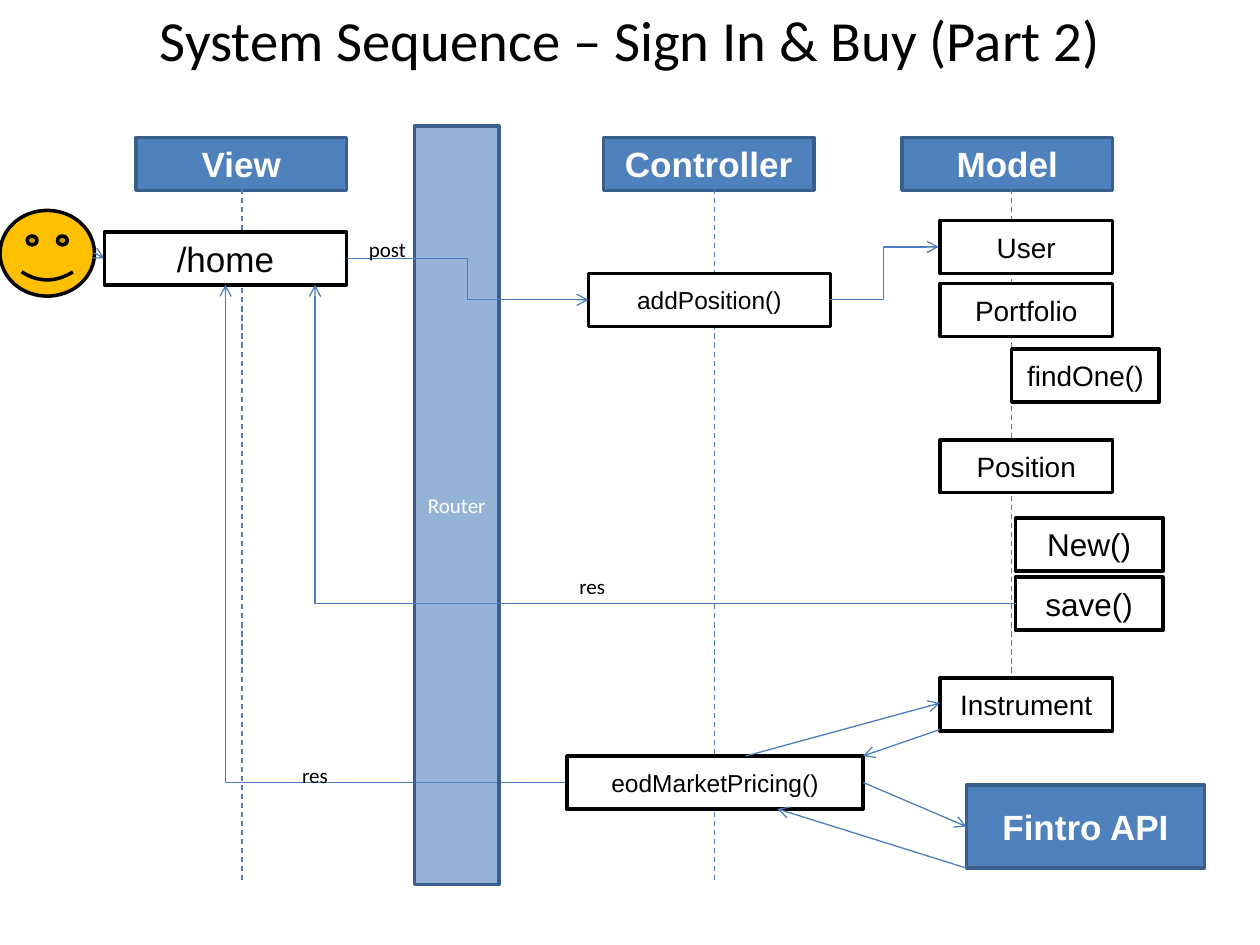
from dataclasses import dataclass

from lxml import etree
from pptx import Presentation
from pptx.dml.color import RGBColor
from pptx.enum.dml import MSO_LINE
from pptx.enum.shapes import MSO_CONNECTOR, MSO_SHAPE
from pptx.enum.text import MSO_ANCHOR, MSO_AUTO_SIZE, PP_ALIGN
from pptx.oxml.ns import qn
from pptx.util import Inches, Pt


@dataclass(frozen=True)
class Theme:
    blue: str = "4F81BD"
    edge: str = "3A5F8C"
    arrow: str = "4B7EBC"
    face: str = "FFC000"
    black: str = "000000"
    white: str = "FFFFFF"
    heading_font: str = "Calibri"
    box_font: str = "Arial"
    title: float = 32.4
    header: float = 20
    method: float = 18
    model: float = 16
    call: float = 14
    label: float = 12
    border: float = 2
    thin: float = 0.75


class SequenceSlide:
    def __init__(self, slide, theme):
        self.shapes = slide.shapes
        self.theme = theme

    def add_text(self, frame, text, size, font, color, bold=False, align=PP_ALIGN.CENTER):
        paragraph = frame.paragraphs[0]
        paragraph.alignment = align
        run = paragraph.add_run()
        run.text = text
        run.font.size = Pt(size)
        run.font.name = font
        run.font.bold = bold
        run.font.color.rgb = RGBColor.from_string(color)

    def shape(self, kind, place, fill, edge):
        shape = self.shapes.add_shape(kind, *map(Inches, place))
        shape.shadow.inherit = False
        shape.fill.solid()
        shape.fill.fore_color.rgb = RGBColor.from_string(fill)
        shape.line.color.rgb = RGBColor.from_string(edge)
        shape.line.width = Pt(self.theme.border)
        shape.text_frame.vertical_anchor = MSO_ANCHOR.MIDDLE
        return shape

    def step(self, text, left, top, width, size, height=0.42):
        t = self.theme
        box = self.shape(MSO_SHAPE.FLOWCHART_PROCESS, (left, top, width, height), t.white, t.black)
        self.add_text(box.text_frame, text, size, t.box_font, t.black)

    def header(self, text, left, top=1.09, width=1.67, height=0.42):
        t = self.theme
        box = self.shape(MSO_SHAPE.FLOWCHART_PROCESS, (left, top, width, height), t.blue, t.edge)
        self.add_text(box.text_frame, text, t.header, t.box_font, t.white, bold=True)

    def band(self, text, place, opacity):
        t = self.theme
        band = self.shape(MSO_SHAPE.RECTANGLE, place, t.blue, t.edge)
        color = band._element.spPr.find(qn("a:solidFill"))[0]
        etree.SubElement(color, qn("a:alpha")).set("val", str(opacity * 1000))
        self.add_text(band.text_frame, text, t.label, t.heading_font, t.white)

    def title(self, text):
        t = self.theme
        frame = self.shapes.add_textbox(*map(Inches, (0.5, 0.08, 9, 0.45))).text_frame
        frame.word_wrap = True
        frame.vertical_anchor = MSO_ANCHOR.MIDDLE
        self.add_text(frame, text, t.title, t.heading_font, t.black)

    def label(self, text, left, top, width):
        t = self.theme
        frame = self.shapes.add_textbox(*map(Inches, (left, top, width, 0.3))).text_frame
        frame.word_wrap = False
        frame.auto_size = MSO_AUTO_SIZE.SHAPE_TO_FIT_TEXT
        self.add_text(frame, text, t.label, t.heading_font, t.black, align=PP_ALIGN.LEFT)

    def line(self, start, end, kind=MSO_CONNECTOR.STRAIGHT, head=True, dashed=False):
        line = self.shapes.add_connector(kind, *map(Inches, (*start, *end)))
        line.line.color.rgb = RGBColor.from_string(self.theme.arrow)
        line.line.width = Pt(self.theme.thin)
        if dashed:
            line.line.dash_style = MSO_LINE.DASH
        properties = line._element.spPr
        if head:
            etree.SubElement(properties.find(qn("a:ln")), qn("a:tailEnd")).set("type", "arrow")
        etree.SubElement(properties, qn("a:effectLst"))
        return line

    def elbow(self, start, end):
        return self.line(start, end, MSO_CONNECTOR.ELBOW)

    def corner(self, start, end):
        """One bend: runs left from start, then up to end."""
        properties = self.elbow(end, start)._element.spPr
        properties.find(qn("a:prstGeom")).set("prst", "bentConnector2")
        properties.find(qn("a:xfrm")).set("rot", str(180 * 60000))


theme = Theme()
deck = Presentation()
deck.slide_width, deck.slide_height = Inches(10), Inches(7.5)
sequence = SequenceSlide(deck.slides.add_slide(deck.slide_layouts[6]), theme)

sequence.title("System Sequence – Sign In & Buy (Part 2)")

# Column headers and user
for column, left in (("Model", 7.16), ("Controller", 4.79), ("View", 1.08)):
    sequence.header(column, left)
sequence.shape(MSO_SHAPE.SMILEY_FACE, (0, 1.67, 0.75, 0.68), theme.face, theme.black)

# Lifelines
for center, bottom in ((1.92, 7), (5.67, 7), (8.03, 5.58)):
    sequence.line((center, 1.5), (center, bottom), head=False, dashed=True)

# Request from the view, with the router over the long return path
sequence.line((0.75, 2.01), (0.83, 2.05))
sequence.step("/home", 0.83, 1.84, 1.92, theme.header)
sequence.corner((4.5, 6.21), (1.79, 2.26))
sequence.band("Router", (3.29, 1, 0.67, 6.02), opacity=60)

# Controller calls
sequence.step("addPosition()", 4.67, 2.17, 1.92, theme.call)
sequence.step("eodMarketPricing()", 4.5, 6, 2.35, theme.call)
sequence.elbow((2.75, 2.05), (4.67, 2.38))
sequence.elbow((6.58, 2.38), (7.45, 1.96))

# Models and their methods
for model, top in (("User", 1.75), ("Portfolio", 2.25), ("Position", 3.49), ("Instrument", 5.38)):
    sequence.step(model, 7.46, top, 1.37, theme.model)
for method, left, top, size in (
    ("findOne()", 8.03, 2.77, theme.model),
    ("New()", 8.06, 4.11, theme.method),
    ("save()", 8.06, 4.58, theme.method),
):
    sequence.step(method, left, top, 1.17, size)

# Response after saving
sequence.line((8.06, 4.79), (2.5, 4.79), head=False)
sequence.line((2.5, 4.79), (2.5, 2.26))

# Pricing service and its exchanges
sequence.header("Fintro API", 7.67, 6.23, 1.89, 0.66)
for start, end in (
    ((5.92, 6), (7.46, 5.58)),
    ((7.46, 5.79), (6.85, 6)),
    ((6.85, 6.21), (7.67, 6.56)),
    ((7.67, 6.89), (6.17, 6.42)),
):
    sequence.line(start, end)

# Message labels
for message, left, top, width in (("post", 2.83, 1.83, 0.5), ("res", 4.5, 4.5, 0.41), ("res", 2.3, 6, 0.41)):
    sequence.label(message, left, top, width)

deck.save("out.pptx")
